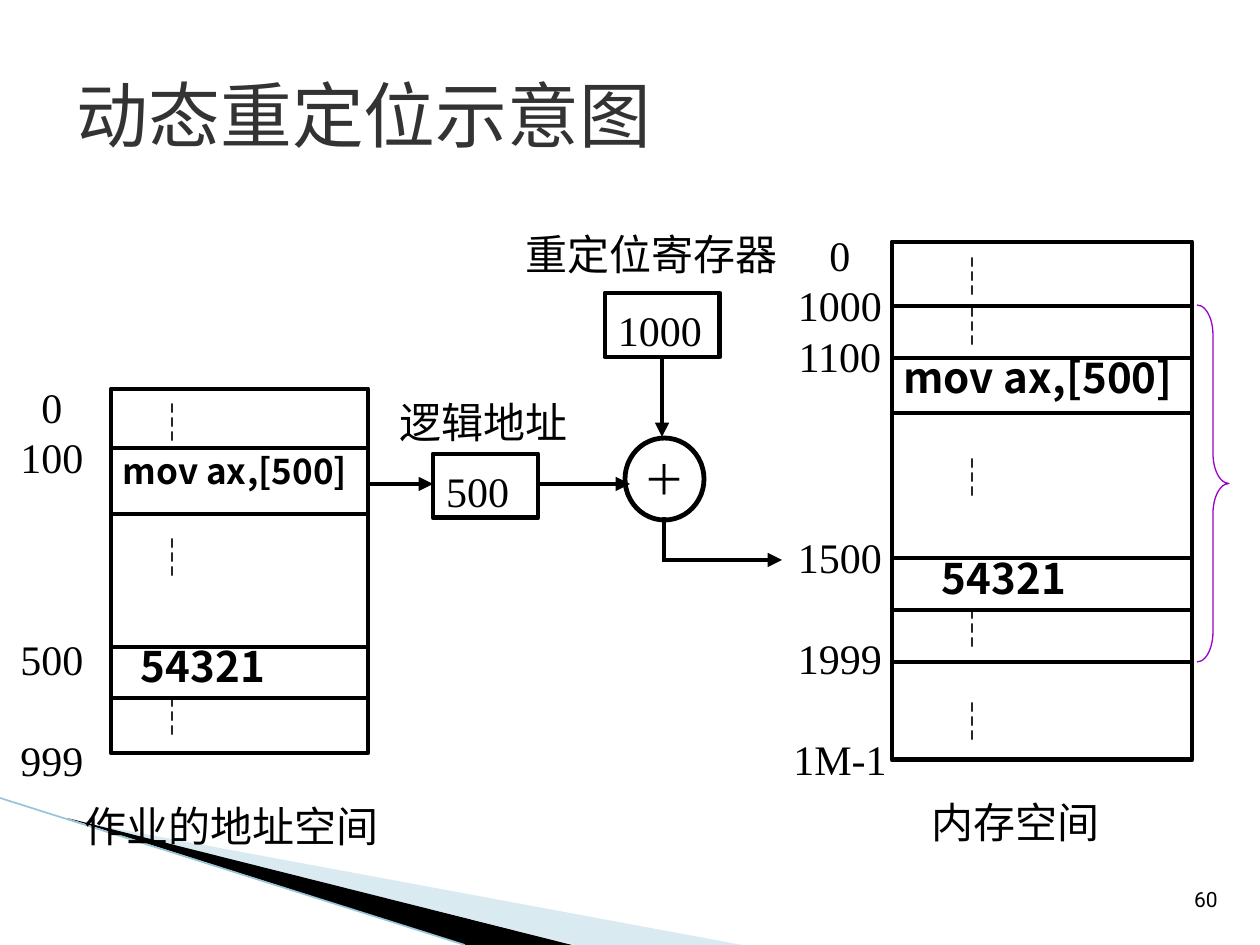
from lxml import etree
from pptx import Presentation
from pptx.dml.color import RGBColor
from pptx.enum.shapes import MSO_CONNECTOR, MSO_SHAPE
from pptx.enum.text import MSO_ANCHOR, PP_ALIGN
from pptx.oxml.ns import qn
from pptx.util import Pt

RECT, OVAL, BRACE = MSO_SHAPE.RECTANGLE, MSO_SHAPE.OVAL, MSO_SHAPE.RIGHT_BRACE
STRAIGHT = MSO_CONNECTOR.STRAIGHT
MIDDLE = MSO_ANCHOR.MIDDLE
LEFT, CENTER = PP_ALIGN.LEFT, PP_ALIGN.CENTER
SCALE = 914400 / 126
BLACK, WHITE = "000000", "FFFFFF"
SERIF, SANS = "Times New Roman", "Noto Sans CJK SC"
LINE_WIDTH = 2.75


def px(n):
    return round(n * SCALE)


def rgb(value):
    return RGBColor.from_string(value)


def set_text(sp, text, size=24, font=SERIF, color=BLACK, bold=False,
             align=CENTER, insets=(0, 0, 0, 0)):
    tf = sp.text_frame
    tf.text = text
    tf.vertical_anchor = MIDDLE
    tf.margin_left, tf.margin_top, tf.margin_right, tf.margin_bottom = map(px, insets)
    p = tf.paragraphs[0]
    p.alignment = align
    r = p.runs[0]
    r.font.size = Pt(size)
    r.font.bold = bold
    r.font.color.rgb = rgb(color)
    r.font.name = font
    if font == SANS:
        etree.SubElement(r.font._element, qn("a:ea"), typeface=font)


def add_label(slide, text, cx, cy, w=100, h=50, **style):
    sp = slide.shapes.add_textbox(px(cx - w / 2), px(cy - h / 2), px(w), px(h))
    set_text(sp, text, **style)
    sp.text_frame.word_wrap = False


def add_box(slide, kind, x, y, w, h):
    sp = slide.shapes.add_shape(kind, px(x), px(y), px(w), px(h))
    sp.shadow.inherit = False
    sp.fill.solid()
    sp.fill.fore_color.rgb = rgb(WHITE)
    sp.line.color.rgb = rgb(BLACK)
    sp.line.width = Pt(LINE_WIDTH)
    return sp


def add_line(slide, x1, y1, x2, y2, color=BLACK, width=LINE_WIDTH, arrow=False):
    line = slide.shapes.add_connector(STRAIGHT, px(x1), px(y1), px(x2), px(y2))
    line.line.color.rgb = rgb(color)
    line.line.width = Pt(width)
    if arrow:
        etree.SubElement(line.line._get_or_add_ln(), qn("a:tailEnd"), type="triangle")
    etree.SubElement(line._element.spPr, qn("a:effectLst"))


def add_wedge(slide, points, color, alpha=100):
    start, *rest = [(px(x), px(y)) for x, y in points]
    builder = slide.shapes.build_freeform(*start)
    builder.add_line_segments(rest)
    sp = builder.convert_to_shape()
    sp.shadow.inherit = False
    sp.fill.solid()
    sp.fill.fore_color.rgb = rgb(color)
    sp.line.fill.background()
    if alpha < 100:
        fill = sp._element.spPr.find(qn("a:solidFill"))
        etree.SubElement(fill[0], qn("a:alpha"), val=str(alpha * 1000))


def add_decoration(slide, x, y):
    add_wedge(slide, [(x + 69, y + 22), (x + 742, y + 147), (x + 575, y + 147)],
              "A0CBDC", 40)
    add_wedge(slide, [(x + 67, y + 20), (x + 572, y + 147), (x + 465, y + 147)], BLACK)
    add_line(slide, x, y, x + 465, y + 147, "97C5D8", 0.95)


def add_title(slide, text, x, y, w, h):
    sp = slide.shapes.title
    sp.left, sp.top, sp.width, sp.height = px(x), px(y), px(w), px(h)
    set_text(sp, text, size=41, font=SANS, color="333333", align=LEFT,
             insets=(13, 6, 13, 6))


def add_memory(slide, x, y, w, h, dividers, dots, values, addresses, address_x):
    add_box(slide, RECT, x, y, w, h)
    for dy in dividers:
        add_line(slide, x, y + dy, x + w, y + dy)
    dot_x, dot_rows = dots
    for dy in dot_rows:
        add_label(slide, "┆", x + dot_x, y + dy, w=40, font=SANS)
    for text, dx, dy, size in values:
        add_label(slide, text, x + dx, y + dy, w=w - 20, size=size, font=SANS, bold=True)
    for text, dy in addresses:
        add_label(slide, text, x + address_x, y + dy)


def add_register(slide, text, x, y, w, h):
    sp = add_box(slide, RECT, x, y, w, h)
    set_text(sp, text, align=LEFT, insets=(13, 10, 0, 0))
    sp.text_frame.word_wrap = False


def add_relocation(slide, x, y):
    add_label(slide, "重定位寄存器", x + 283, y + 34, w=280)
    add_label(slide, "逻辑地址", x + 115, y + 202, w=200)
    add_line(slide, x, y + 264, x + 64, y + 264, arrow=True)
    add_register(slide, "500", x + 64, y + 234, 105, 64)
    add_register(slide, "1000", x + 236, y + 73, 115, 64)
    adder = add_box(slide, OVAL, x + 256, y + 218, 79, 82)
    set_text(adder, "＋")
    adder.text_frame.word_wrap = False
    add_line(slide, x + 169, y + 264, x + 261, y + 264, arrow=True)
    add_line(slide, x + 293, y + 137, x + 293, y + 217, arrow=True)
    add_line(slide, x + 295, y + 297, x + 295, y + 342)
    add_line(slide, x + 297, y + 340, x + 413, y + 340, arrow=True)


def add_brace(slide, x, y, w, h):
    sp = slide.shapes.add_shape(BRACE, px(x), px(y), px(w), px(h))
    sp.shadow.inherit = False
    sp.adjustments[0] = 0.94
    sp.fill.background()
    sp.line.color.rgb = rgb("9900CC")
    sp.line.width = Pt(0.75)


def main():
    prs = Presentation()
    prs.slide_width, prs.slide_height = px(1260), px(945)
    slide = prs.slides.add_slide(prs.slide_layouts[5])
    add_decoration(slide, 0, 798)
    add_title(slide, "动态重定位示意图", 64, 35, 1134, 158)
    add_memory(
        slide, 892, 242, 300, 518,
        dividers=(64, 116, 171, 316, 368, 420),
        dots=(80, (34, 84, 235, 386, 479)),
        values=[("mov ax,[500]", 146, 135, 24), ("54321", 112, 336, 24)],
        addresses=[("0", 13), ("1000", 63), ("1100", 114), ("1500", 315),
                   ("1999", 416), ("1M-1", 517)],
        address_x=-52)
    add_memory(
        slide, 111, 389, 257, 364,
        dividers=(59, 125, 258, 309),
        dots=(61, (33, 168, 327)),
        values=[("mov ax,[500]", 124, 81, 20), ("54321", 92, 277, 24)],
        addresses=[("0", 18), ("100", 68), ("500", 270), ("999", 371)],
        address_x=-59)
    add_label(slide, "作业的地址空间", 232, 826, w=320)
    add_label(slide, "内存空间", 1016, 822, w=200)
    add_relocation(slide, 369, 220)
    add_brace(slide, 1197, 305, 32, 357)
    add_label(slide, "60", 1206, 899, w=50, h=38, size=12, font="Roboto")
    prs.save("out.pptx")


if __name__ == "__main__":
    main()
